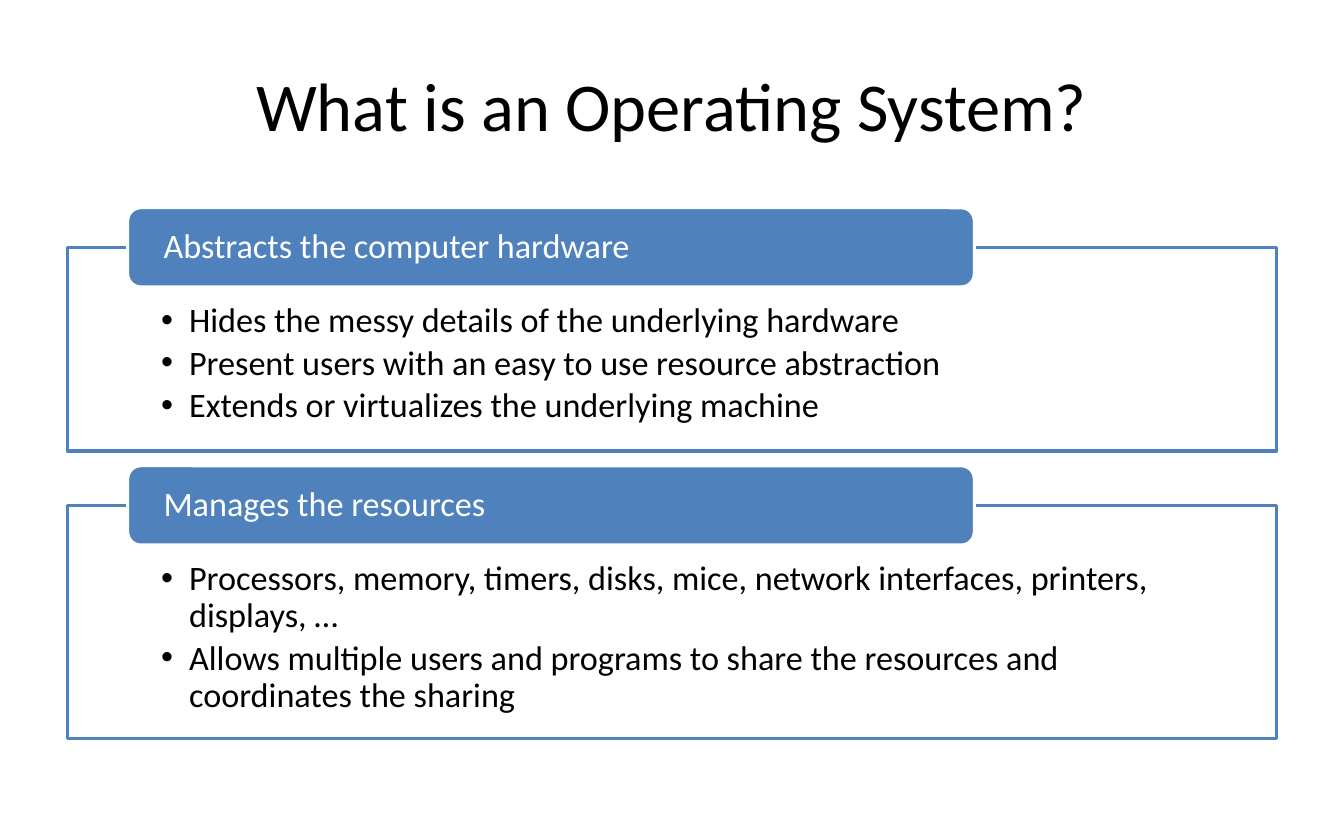
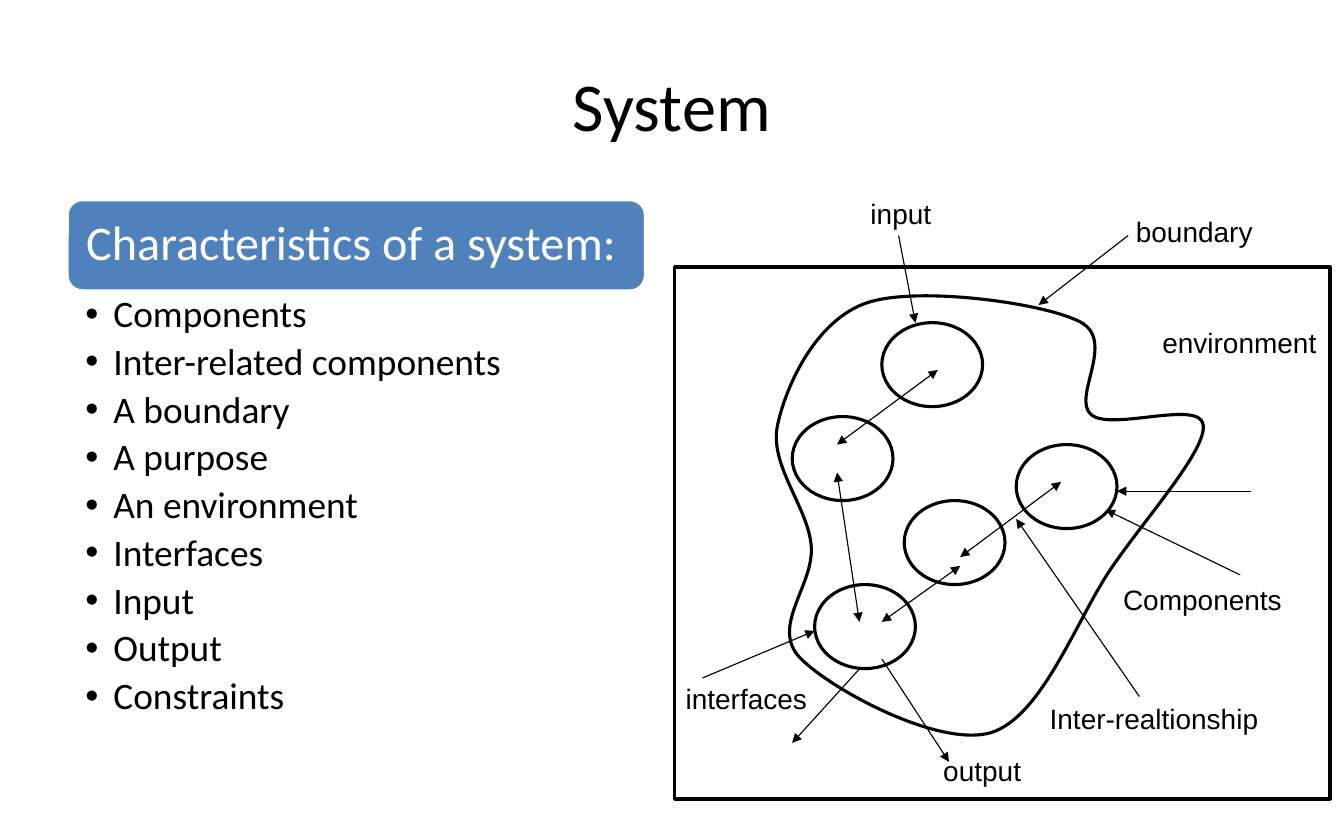
from lxml.etree import SubElement
from pptx import Presentation
from pptx.dml.color import RGBColor
from pptx.enum.shapes import MSO_CONNECTOR as Connector, MSO_SHAPE as Preset
from pptx.enum.text import MSO_ANCHOR as Anchor, PP_ALIGN as Align
from pptx.oxml.ns import qn
from pptx.util import Pt

COLORS = {"accent": "4F81BD", "white": "FFFFFF", "black": "000000"}
HEADING_FONT, LABEL_FONT = "Calibri", "Arial"
MARGIN, CONTENT_WIDTH = 43.2, 777.6
BULLET_INDENT = 18


def color(name):
    return RGBColor.from_string(COLORS[name])


def apply(target, values):
    for name, value in values.items():
        setattr(target, name, value)


def paint(shape, fill, line, width):
    shape.shadow.inherit = False
    shape.fill.solid()
    shape.fill.fore_color.rgb = color(fill)
    shape.line.color.rgb = color(line)
    shape.line.width = Pt(width)


def add_preset(slide, preset, box, fill, line, width=2):
    shape = slide.shapes.add_shape(preset, *map(Pt, box))
    paint(shape, fill, line, width)
    return shape


def write(shape, lines, size, font=HEADING_FONT, ink="black", insets=(7.2, 3.6, 7.2, 3.6),
          anchor=Anchor.TOP, align=Align.LEFT, spacing=1.0, after=0, bullets=False, wrap=True):
    frame = shape.text_frame
    sides = ("margin_left", "margin_top", "margin_right", "margin_bottom")
    apply(frame, dict(zip(sides, map(Pt, insets))))
    apply(frame, {"word_wrap": wrap, "vertical_anchor": anchor})
    for index, line in enumerate(lines):
        paragraph = frame.add_paragraph() if index else frame.paragraphs[0]
        apply(paragraph, {"alignment": align, "line_spacing": spacing, "space_after": Pt(after)})
        if bullets:
            properties = paragraph._p.get_or_add_pPr()
            properties.set("marL", str(Pt(BULLET_INDENT)))
            properties.set("indent", str(-Pt(BULLET_INDENT)))
            SubElement(properties, qn("a:buFont")).set("typeface", LABEL_FONT)
            SubElement(properties, qn("a:buChar")).set("char", "•")
        run = paragraph.add_run()
        run.text = line
        apply(run.font, {"name": font, "size": Pt(size)})
        run.font.color.rgb = color(ink)


def add_text(slide, box, lines, size, **style):
    write(slide.shapes.add_textbox(*map(Pt, box)), lines, size, **style)


def new_slide(presentation, title):
    slide = presentation.slides.add_slide(presentation.slide_layouts[6])
    add_text(slide, (MARGIN, 21.6, CONTENT_WIDTH, 90), [title], 44,
             anchor=Anchor.MIDDLE, align=Align.CENTER)
    return slide


def add_tab(slide, box, text, size, inset):
    tab = add_preset(slide, Preset.ROUNDED_RECTANGLE, box, "accent", "white")
    write(tab, [text], size, ink="white", insets=(inset, 0, inset, 0),
          anchor=Anchor.MIDDLE, spacing=0.9)


# Framed list with a tab straddling its top edge
def add_card(slide, box, heading, points):
    left, top, width, height = box
    tab_height = 51
    frame = add_preset(slide, Preset.RECTANGLE, box, "white", "accent")
    write(frame, points, 22, insets=(60.4, 35.8, 60.4, 12.2), spacing=0.9, after=3.6, bullets=True)
    add_tab(slide, (left + width * 0.05, top - tab_height / 2, width * 0.7, tab_height),
            heading, 22, 20.6)


# Heading band with a bullet list below
def add_feature_list(slide, box, heading, points):
    left, top, width, height = box
    band_height = 58.6
    add_tab(slide, (left, top, width, band_height), heading, 31, 9.4)
    add_text(slide, (left, top + band_height, width, height - band_height), points, 24,
             insets=(11.7, 2.9, 17.3, 2.9), spacing=0.9, after=4.8, bullets=True)


# Places below are offsets from the environment frame's top left corner
BOUNDARY_START = (260.6, 35.3)
# Two control points and an end point for each curve
BOUNDARY_CURVES = [
    ((236.9, 23), (156.2, 12.2), (123.8, 23)),
    ((91.4, 33.8), (72, 74.9), (66.2, 101.5)),
    ((60.5, 127.4), (85.7, 154.1), (87.8, 179.3)),
    ((90, 204.5), (61.2, 231.1), (80.6, 251.3)),
    ((100.1, 271.4), (169.2, 308.9), (203, 299.5)),
    ((236.9, 289.4), (259.2, 223.9), (282.2, 191.5)),
    ((305.3, 158.4), (342, 117.4), (339.8, 101.5)),
    ((337.7, 85), (280.8, 105.8), (267.8, 95)),
    ((254.9, 84.2), (284.4, 47.5), BOUNDARY_START),
]
COMPONENTS = [(133.2, 35.8), (75.6, 96.2), (90, 204.2), (219.6, 114.2), (147.6, 150.2)]
COMPONENT_SIZE = (64.8, 54)
POINTERS = [
    ((144, -20.2), (154.8, 36)),       # input
    ((291.6, -20.2), (234, 24.5)),     # boundary
    ((18, 264.2), (90, 234)),          # interfaces
    ((118.8, 258.5), (75.6, 306)),     # outgoing
    ((370.8, 144.2), (284.4, 144.2)),  # incoming
    ((363.6, 198), (277.2, 156.2)),    # components
    ((298.8, 276.2), (219.6, 162)),    # inter-relationship
    ((133.2, 252), (176.4, 318.2)),    # output
]
RELATIONS = [
    ((183.6, 186.5), (248.4, 138.2)),
    ((104.4, 114.2), (169.2, 66.2)),
    ((104.4, 132.2), (118.8, 228.2)),
    ((133.2, 228.2), (183.6, 192.2)),
]
# Text, left, top, width, wrap
LABELS = [
    ("input", 118.8, -48.6, 54, False),
    ("environment", 306.4, 34.2, 114.5, False),
    ("boundary", 289.4, -37.4, 90, False),
    ("interfaces", 0, 263.2, 110.9, True),
    ("Components", 281.2, 199.4, 117.4, False),
    ("Inter-realtionship", 234, 276.1, 149.8, False),
    ("output", 165.6, 309.3, 64.8, False),
]


def add_curved_outline(slide, start, curves):
    """Draw a closed outline of cubic curves."""
    builder = slide.shapes.build_freeform(*map(Pt, start))
    builder.add_line_segments([tuple(map(Pt, point)) for curve in curves for point in curve],
                              close=False)
    shape = builder.convert_to_shape()
    outline = next(shape._element.spPr.iter(qn("a:path")))
    segments = outline.findall(qn("a:lnTo"))
    for index in range(0, len(segments), 3):
        curve = SubElement(outline, qn("a:cubicBezTo"))
        for segment in segments[index:index + 3]:
            curve.append(segment[0])
            outline.remove(segment)
    SubElement(outline, qn("a:close"))
    paint(shape, "white", "black", 2)


def add_arrow(slide, start, end, heads):
    arrow = slide.shapes.add_connector(Connector.STRAIGHT, *map(Pt, (*start, *end)))
    arrow.line.color.rgb = color("black")
    arrow.line.width = Pt(0.75)
    properties = arrow._element.spPr
    for head in heads:
        SubElement(properties.find(qn("a:ln")), qn(head)).set("type", "triangle")
    SubElement(properties, qn("a:effectLst"))


def add_system_diagram(slide, box):
    left, top = box[:2]

    def place(point):
        return left + point[0], top + point[1]

    # Environment and boundary
    add_preset(slide, Preset.RECTANGLE, box, "white", "black", 2.25)
    add_curved_outline(slide, place(BOUNDARY_START),
                       [[place(point) for point in curve] for curve in BOUNDARY_CURVES])

    # Components, arrows and labels
    for corner in COMPONENTS:
        add_preset(slide, Preset.OVAL, (*place(corner), *COMPONENT_SIZE), "white", "black")
    for arrows, heads in ((POINTERS, ["a:tailEnd"]), (RELATIONS, ["a:headEnd", "a:tailEnd"])):
        for start, end in arrows:
            add_arrow(slide, place(start), place(end), heads)
    for text, x, y, width, wrap in LABELS:
        add_text(slide, (*place((x, y)), width, 28.8), [text], 18, font=LABEL_FONT, wrap=wrap)


def build_definition_slide(presentation):
    slide = new_slide(presentation, "What is an Operating System?")
    add_card(slide, (MARGIN, 159, CONTENT_WIDTH, 131), "Abstracts the computer hardware", [
        "Hides the messy details of the underlying hardware",
        "Present users with an easy to use resource abstraction",
        "Extends or virtualizes the underlying machine",
    ])
    add_card(slide, (MARGIN, 324.9, CONTENT_WIDTH, 149.8), "Manages the resources", [
        "Processors, memory, timers, disks, mice, network interfaces, printers, displays, …",
        "Allows multiple users and programs to share the resources and coordinates the sharing",
    ])


def build_system_slide(presentation):
    slide = new_slide(presentation, "System")
    add_feature_list(slide, (MARGIN, 128.4, 371.7, 351.8), "Characteristics of a system:", [
        "Components", "Inter-related components", "A boundary", "A purpose",
        "An environment", "Interfaces", "Input", "Output", "Constraints",
    ])
    add_system_diagram(slide, (433.7, 171.6, 421.2, 342))


def main():
    presentation = Presentation()
    apply(presentation, {"slide_width": Pt(864), "slide_height": Pt(540)})
    build_definition_slide(presentation)
    build_system_slide(presentation)
    presentation.save("out.pptx")


if __name__ == "__main__":
    main()
